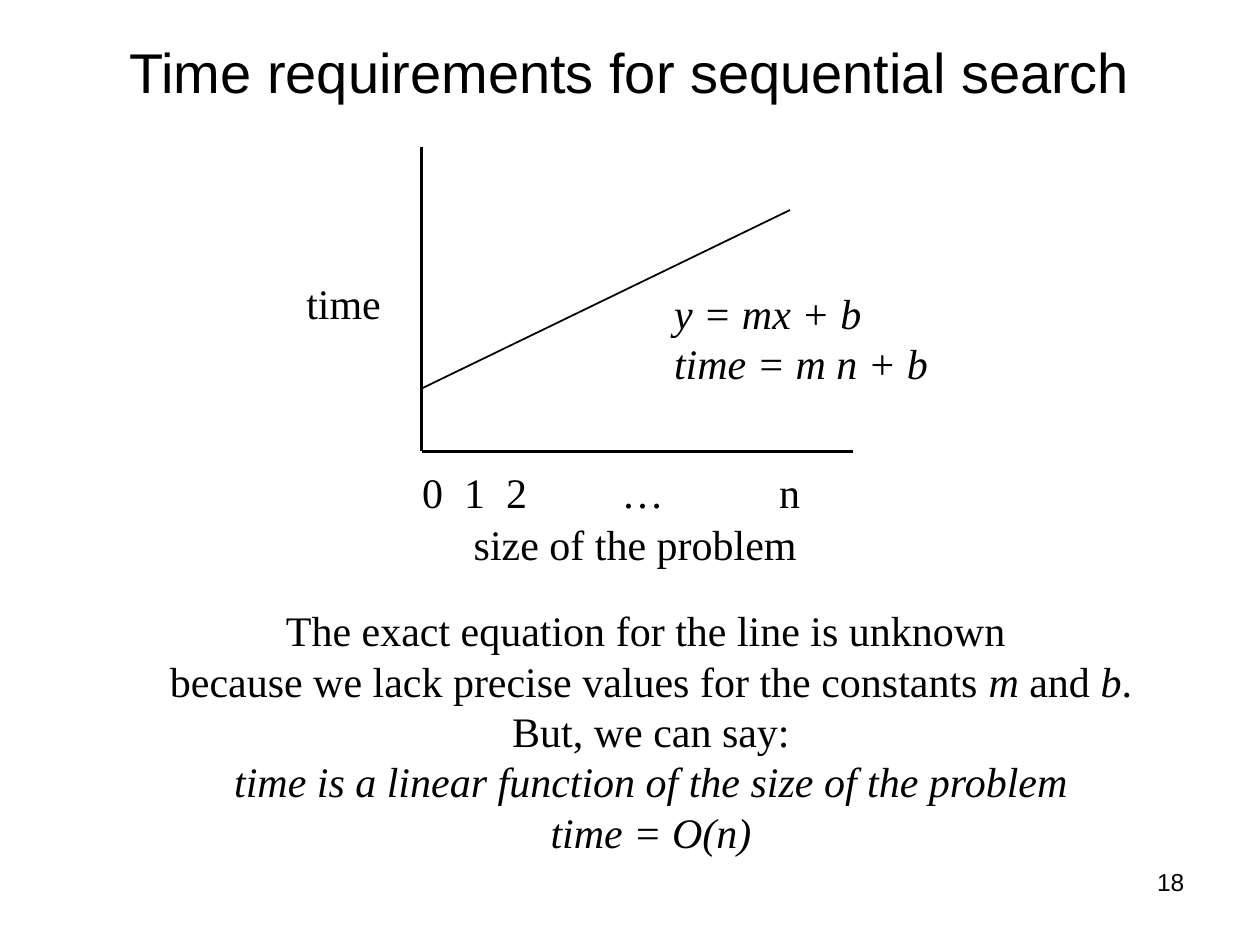
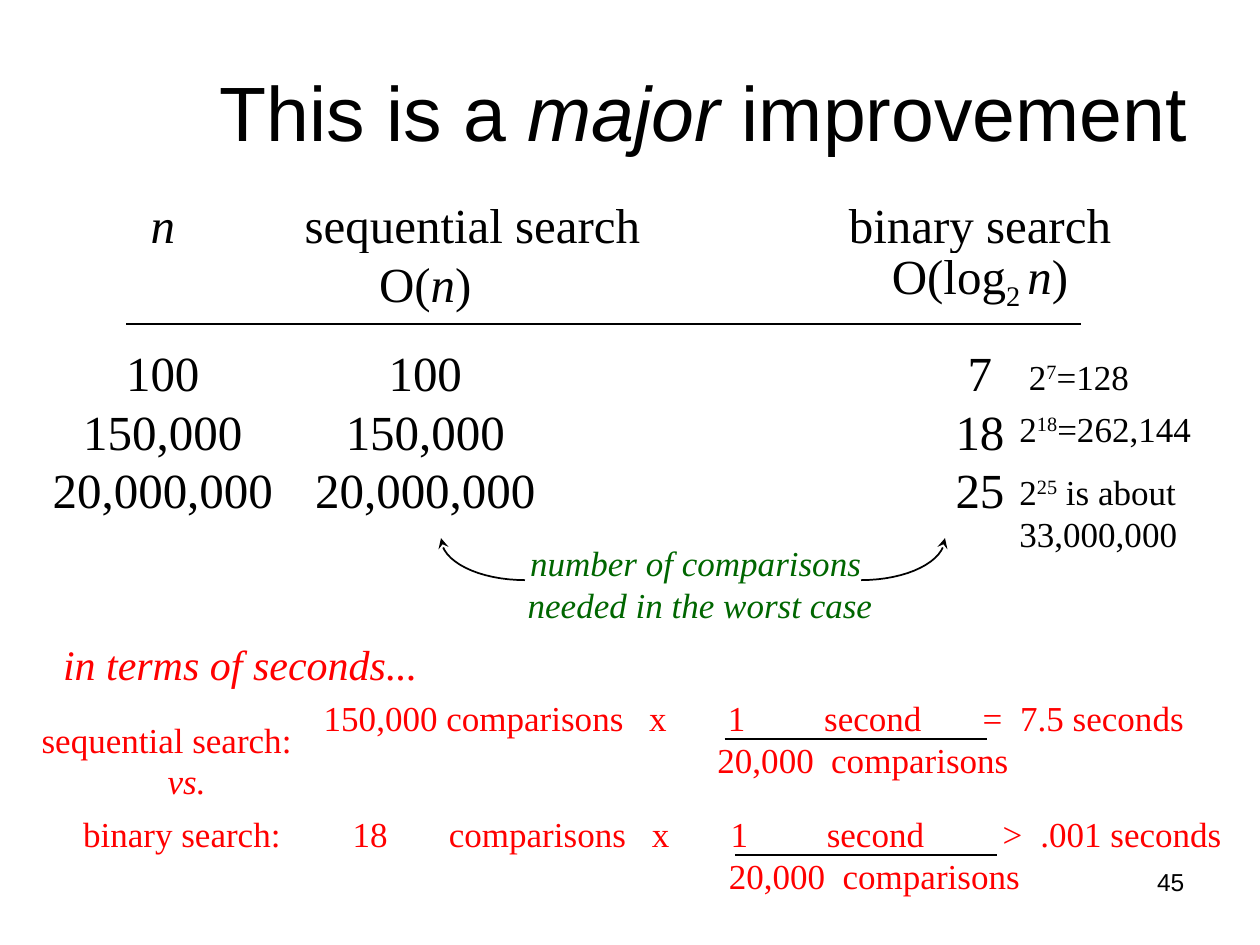
from math import cos, pi, sin

from lxml.etree import SubElement
from pptx import Presentation
from pptx.dml.color import RGBColor
from pptx.enum.shapes import MSO_CONNECTOR
from pptx.enum.text import MSO_ANCHOR, PP_ALIGN
from pptx.oxml.ns import qn
from pptx.util import Pt

SERIF, SANS = "Times New Roman", "Arial"
BLACK, GREEN, RED = "000000", "006600", "FF0000"
LINE_PITCH = 1.2
CENTER, RIGHT = PP_ALIGN.CENTER, PP_ALIGN.RIGHT


def italic(text):
    return text, {"italic": True}


def raised(text, percent=30):
    return text, {"baseline": percent}


# A text is a list of paragraphs, a paragraph a list of spans.
GRAPH_TITLE = [["Time requirements for sequential search"]]
AXES = [((241, 84), (241, 258), 2), ((241, 258), (487.5, 258), 2),
        ((241, 222), (451.5, 120), 1)]
TICKS = [["0\t1\t2\t…\tn"]]
TICK_TABS = [24, 48, 114, 204]
GRAPH_LABELS = [
    (175, 158.4, [["time"]]),
    (270.7, 296.6, [["size of the problem"]]),
    (385.2, 164.2, [[italic("y = mx + b")], [italic("time = m n + b")]]),
]
EXPLANATION = [
    ["The exact equation for the line is unknown "],
    ["because we lack precise values for the constants ", italic("m"),
     " and", italic(" b"), "."],
    ["But, we can say:"],
    [italic("time is a linear function of the size of the problem")],
    [italic("time = O(n)")],
]

GAIN_TITLE = [["This is a ", italic("major"), " improvement"]]
SEARCH_ROWS = [
    [[italic("n")], ["sequential search"], ["binary search"]],
    [[], ["O(", italic("n"), ")"],
     ["O(log", raised("2 ", -25), italic("n"), ")"]],
    [["100"], ["100"], ["7"]],
    [["150,000"], ["150,000"], ["18"]],
    [["20,000,000"], ["20,000,000"], ["25"]],
]
COLUMN_WIDTHS = [146, 294, 200]
ROW_HEIGHTS = [33.6, 50.8, 33.6, 33.6, 33.6]
POWER_NOTES = [
    (588, 203, [["2", raised("7"), "=128"]]),
    (582.5, 232.6, [["2", raised("18"), "=262,144"]]),
    (582.5, 268.6, [["2", raised("25"), " is about"], ["33,000,000"]]),
]
WORST_CASE = [[italic("number of comparisons ")],
              [italic("needed in the worst case")]]
SECONDS_LABELS = [
    (36, 365, 24, [[italic("in terms of seconds...")]]),
    (23.8, 410.4, 20, [["sequential search:"]]),
    (95.8, 434.2, 20, [[italic("vs.")]]),
    (47.5, 464.4, 20, [["binary search:"]]),
]
DENOMINATOR = ["\t20,000\tcomparisons"]
DENOMINATOR_TABS = [225, 290]
# left, top, numerator, its tabs, left and height of the fraction bar
FORMULAS = [
    (185, 398.2, "150,000 comparisons\tx\t1\tsecond\t=\t7.5 seconds",
     [186, 231, 286, 376.5, 398], 414, 422.5),
    (191.5, 464.4, "\t18\tcomparisons\tx\t1\tsecond\t>\t.001 seconds",
     [10, 65, 181, 226, 281, 381.5, 403], 420, 488.5),
]
BAR_WIDTH = 150


def rgb(color):
    return RGBColor.from_string(color)


def write_para(para, spans, size, font=SERIF, color=BLACK, align=None,
               tabs=(), pitch=LINE_PITCH):
    if tabs:
        stops = SubElement(para._p.get_or_add_pPr(), qn("a:tabLst"))
        for stop in tabs:
            SubElement(stops, qn("a:tab"), pos=str(Pt(stop)), algn="l")
    para.alignment = align
    if pitch:
        para.line_spacing = Pt(size * pitch)
    for item in spans:
        text, look = (item, {}) if isinstance(item, str) else item
        span = para.add_run()
        span.text = text
        span.font.name, span.font.size = font, Pt(size)
        span.font.color.rgb = rgb(color)
        if look.get("italic"):
            span.font.italic = True
        if "baseline" in look:
            span._r.get_or_add_rPr().set("baseline", str(look["baseline"] * 1000))


def add_text(page, left, top, width, paras, size, height=None,
             anchor=MSO_ANCHOR.TOP, **style):
    height = height or len(paras) * size * LINE_PITCH
    box = page.shapes.add_textbox(Pt(left), Pt(top), Pt(width), Pt(height))
    frame = box.text_frame
    frame.word_wrap = True
    frame.vertical_anchor = anchor
    frame.margin_left = frame.margin_right = 0
    frame.margin_top = frame.margin_bottom = 0
    for index, spans in enumerate(paras):
        para = frame.add_paragraph() if index else frame.paragraphs[0]
        write_para(para, spans, size, **style)


def add_line(page, start, end, weight=1):
    line = page.shapes.add_connector(
        MSO_CONNECTOR.STRAIGHT, *(Pt(value) for value in (*start, *end)))
    line.line.color.rgb = rgb(BLACK)
    line.line.width = Pt(weight)
    SubElement(line._element.spPr, qn("a:effectLst"))


def add_curved_arrow(page, base_x, direction):
    """Quarter ellipse that runs sideways from base_x and ends pointing up."""
    steps = 16
    points = [(Pt(base_x + direction * 48 * sin(pi / 2 * step / steps)),
               Pt(307.5 + 24 * cos(pi / 2 * step / steps)))
              for step in range(steps + 1)]
    builder = page.shapes.build_freeform(*points[0])
    builder.add_line_segments(points[1:], close=False)
    arrow = builder.convert_to_shape()
    arrow.shadow.inherit = False
    arrow.fill.background()
    arrow.line.color.rgb = rgb(BLACK)
    arrow.line.width = Pt(1)
    SubElement(arrow.line._get_or_add_ln(), qn("a:tailEnd"), type="stealth")


def add_page(deck, number, title, size, left, top, width, height):
    page = deck.slides.add_slide(deck.slide_layouts[6])
    add_text(page, 523, 495.4, 153.8, [[str(number)]], 14, font=SANS,
             align=RIGHT, pitch=None)
    add_text(page, left, top, width, title, size, height=height, font=SANS,
             anchor=MSO_ANCHOR.MIDDLE, align=CENTER, pitch=None)
    return page


def add_search_table(page):
    table = page.shapes.add_table(
        len(SEARCH_ROWS), len(COLUMN_WIDTHS), Pt(20), Pt(111.6),
        Pt(sum(COLUMN_WIDTHS)), Pt(sum(ROW_HEIGHTS))).table
    table.first_row = table.horz_banding = False
    for column, width in zip(table.columns, COLUMN_WIDTHS):
        column.width = Pt(width)
    for row_index, cells in enumerate(SEARCH_ROWS):
        table.rows[row_index].height = Pt(ROW_HEIGHTS[row_index])
        for column_index, spans in enumerate(cells):
            cell = table.cell(row_index, column_index)
            cell.fill.background()
            cell.margin_left = cell.margin_top = cell.margin_bottom = 0
            # The middle column keeps its text to the left of a wide gap.
            gap = 86 if row_index == 0 else 140
            cell.margin_right = Pt(gap if column_index == 1 else 0)
            write_para(cell.text_frame.paragraphs[0], spans, 28, align=CENTER)


def build_graph_page(deck):
    page = add_page(deck, 18, GRAPH_TITLE, 32, 36, 21.6, 648, 38)
    for start, end, weight in AXES:
        add_line(page, start, end, weight)
    add_text(page, 241.2, 266.4, 240, TICKS, 24, tabs=TICK_TABS)
    for left, top, paras in GRAPH_LABELS:
        add_text(page, left, top, 200 if left > 200 else 60, paras, 24)
    add_text(page, 82, 345.6, 580, EXPLANATION, 24, align=CENTER)


def build_gain_page(deck):
    page = add_page(deck, 45, GAIN_TITLE, 44, 96, 18, 612, 90)
    add_search_table(page)
    add_line(page, (72, 185), (618, 185))
    for left, top, paras in POWER_NOTES:
        add_text(page, left, top, 120, paras, 20)
    add_text(page, 290, 309.6, 220, WORST_CASE, 20, color=GREEN, align=CENTER)
    add_curved_arrow(page, 300, -1)
    add_curved_arrow(page, 492, 1)
    for left, top, size, paras in SECONDS_LABELS:
        add_text(page, left, top, 220 if size > 20 else 150, paras, size, color=RED)
    for left, top, numerator, tabs, bar_left, bar_top in FORMULAS:
        add_text(page, left, top, 520, [[numerator]], 20, color=RED, tabs=tabs)
        add_text(page, left, top + 20 * LINE_PITCH, 520, [DENOMINATOR], 20,
                 color=RED, tabs=DENOMINATOR_TABS)
        add_line(page, (bar_left, bar_top), (bar_left + BAR_WIDTH, bar_top))


def main():
    deck = Presentation()
    deck.slide_width, deck.slide_height = Pt(720), Pt(540)
    build_graph_page(deck)
    build_gain_page(deck)
    deck.save("out.pptx")


if __name__ == "__main__":
    main()
